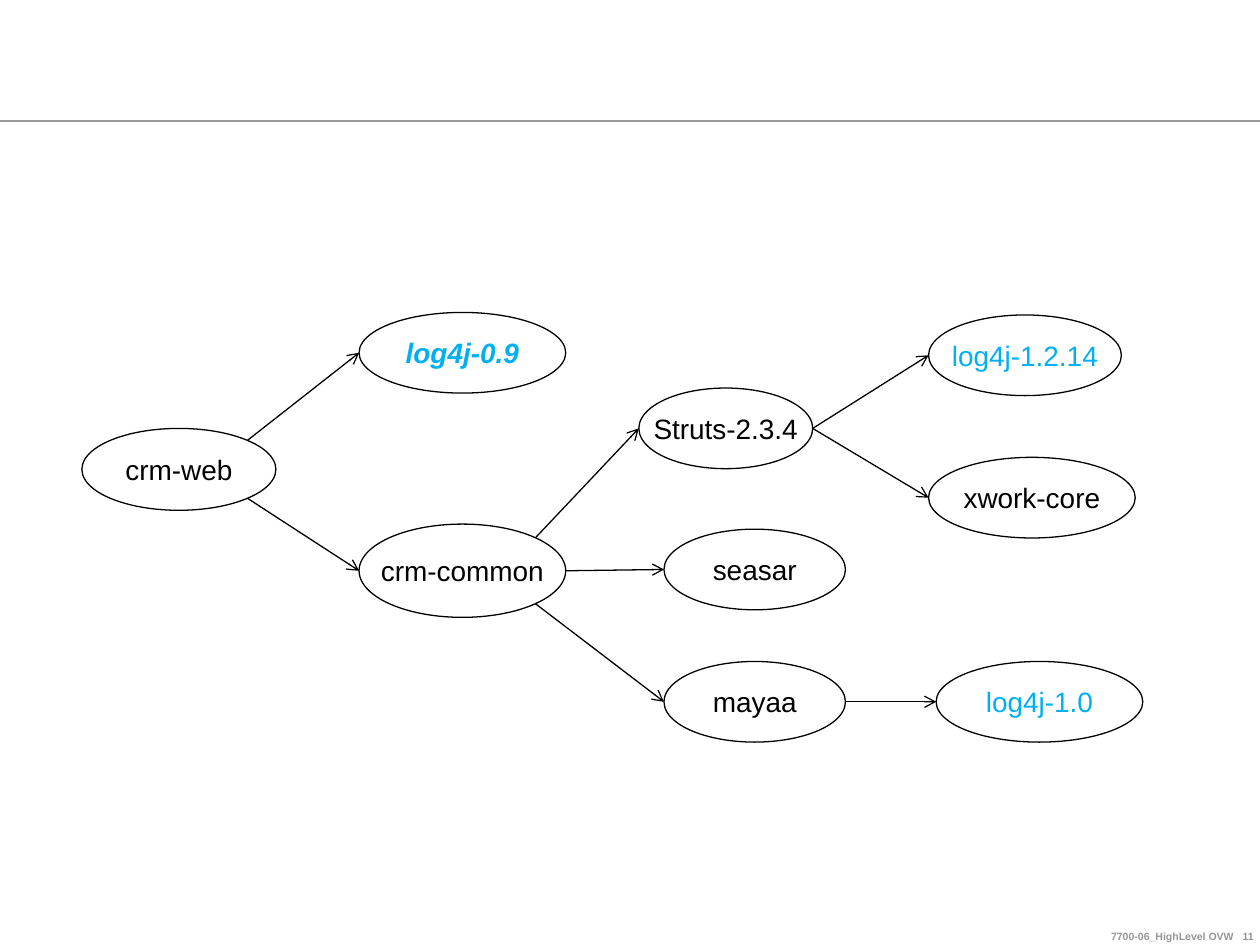
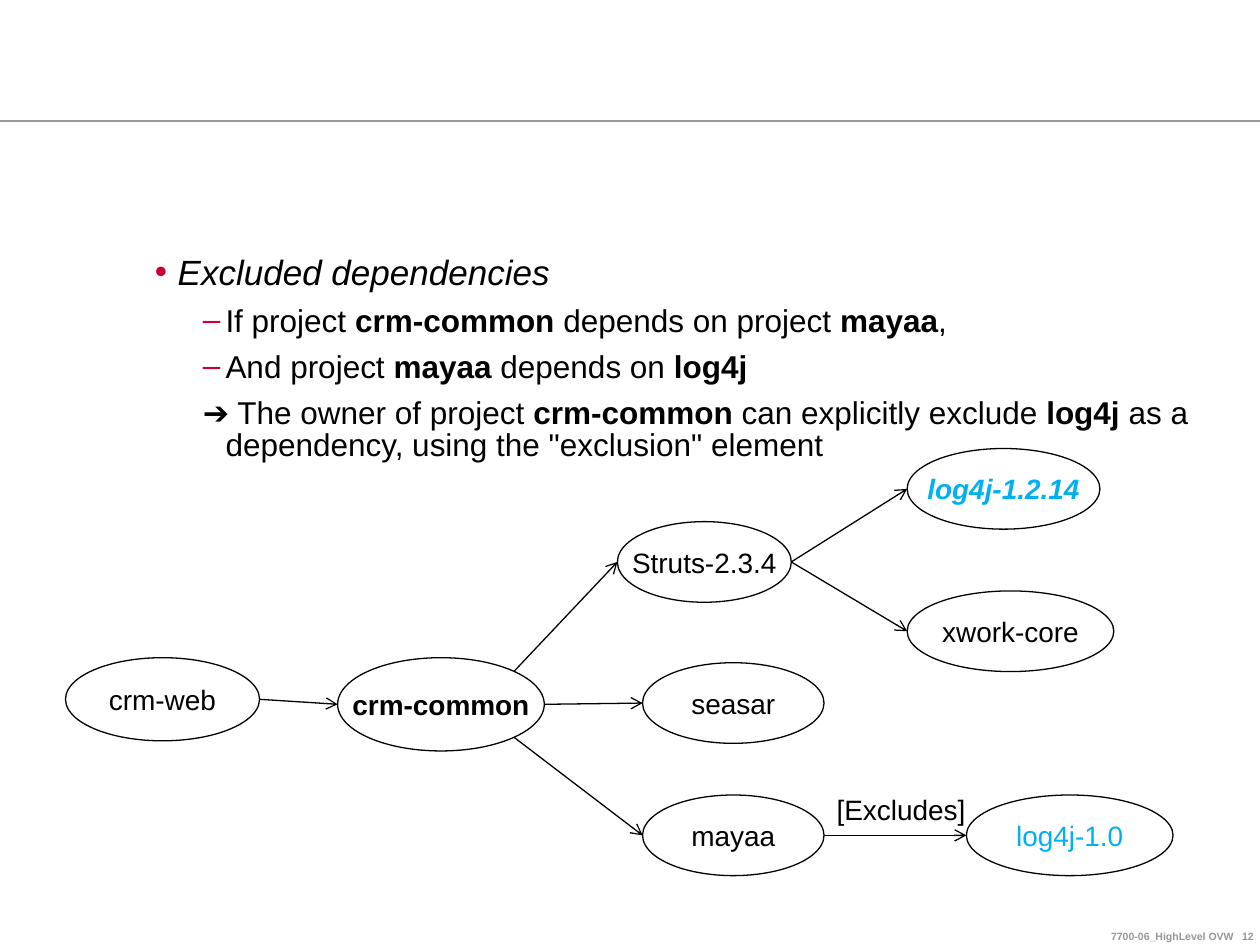
from lxml import etree
from pptx import Presentation
from pptx.dml.color import RGBColor
from pptx.enum.shapes import MSO_CONNECTOR, MSO_SHAPE
from pptx.enum.text import MSO_ANCHOR, PP_ALIGN
from pptx.oxml.ns import qn
from pptx.util import Inches, Pt

OVAL, STRAIGHT = MSO_SHAPE.OVAL, MSO_CONNECTOR.STRAIGHT
TOP, MIDDLE, BOTTOM = MSO_ANCHOR.TOP, MSO_ANCHOR.MIDDLE, MSO_ANCHOR.BOTTOM
LEFT, CENTER, RIGHT = PP_ALIGN.LEFT, PP_ALIGN.CENTER, PP_ALIGN.RIGHT

FONT = "Arial"
BLACK, BLUE, RED = "000000", "00B0F0", "CC0033"
RULE_GRAY, FOOTER_GRAY = "999999", "969696"
COLUMNS, ROWS = 10, 7.5
DIAGONAL = 0.5 ** 0.5

# Where an arrow meets an ellipse, in half widths and half heights
SITES = {"left": (-1, 0), "right": (1, 0),
         "upper": (DIAGONAL, -DIAGONAL), "lower": (DIAGONAL, DIAGONAL)}

# Dependencies of crm-common: name -> (left, top, width, height)
COMMON_TREE = {
    "crm-common": (2.85, 4.16, 1.64, 0.74),
    "Struts-2.3.4": (5.07, 3.08, 1.38, 0.64),
    "seasar": (5.27, 4.2, 1.44, 0.64),
    "mayaa": (5.27, 5.25, 1.44, 0.64),
    "log4j-1.2.14": (7.37, 2.5, 1.53, 0.64),
    "xwork-core": (7.37, 3.63, 1.64, 0.64),
    "log4j-1.0": (7.43, 5.25, 1.64, 0.64),
}
COMMON_ARROWS = [
    ("crm-common", "upper", "Struts-2.3.4"),
    ("crm-common", "right", "seasar"),
    ("crm-common", "lower", "mayaa"),
    ("mayaa", "right", "log4j-1.0"),
    ("Struts-2.3.4", "right", "log4j-1.2.14"),
    ("Struts-2.3.4", "right", "xwork-core"),
]

# Outline: level, bullet, spans of (text, style)
EXCLUSION_RULE = [
    (0, "•", [("Excluded dependencies", "i")]),
    (1, "–", [("If project ", ""), ("crm-common", "b"),
              (" depends on project ", ""), ("mayaa", "b"), (",", "")]),
    (1, "–", [("And project ", ""), ("mayaa", "b"),
              (" depends on ", ""), ("log4j", "b")]),
    (1, None, [("➔ The owner of project ", ""), ("crm-common", "b"),
               (" can explicitly exclude ", ""), ("log4j", "b"),
               (' as a dependency, using the "exclusion" element', "")]),
]
LEVELS = [(20, 0.18), (18, 0.56)]  # size, text indent
HANGING = 0.18
SPACE_BEFORE = 7.9


def color(hex_string):
    return RGBColor.from_string(hex_string)


class SlideWriter:
    """Holds the deck, its style and the current slide."""

    def __init__(self):
        self.deck = Presentation()
        self.deck.slide_width, self.deck.slide_height = Inches(10), Inches(7.5)
        self.column = self.deck.slide_width / COLUMNS
        self.row = self.deck.slide_height / ROWS
        self.slide = None

    def place(self, *lengths):
        """Turn alternating columns and rows into slide units."""
        return [round(length * (self.row if index % 2 else self.column))
                for index, length in enumerate(lengths)]

    def new_slide(self, number):
        self.slide = self.deck.slides.add_slide(self.deck.slide_layouts[6])
        self.line((0, 0.96), (COLUMNS, 0.96), RULE_GRAY, 1)
        for text, left, right in [("7700-06_HighLevel OVW", 6, 9.79),
                                  (str(number), 9.8, 9.95)]:
            self.text((left, 7.38, right - left, 0.1), text, 6, FOOTER_GRAY, "b",
                      align=RIGHT, anchor=BOTTOM)

    def span(self, para, text, size, ink=BLACK, style=""):
        run = para.add_run()
        run.text = text
        run.font.name, run.font.size = FONT, Pt(size)
        run.font.color.rgb = color(ink)
        run.font.bold, run.font.italic = "b" in style, "i" in style

    def frame(self, shape, anchor=TOP, wrap=True, margins=(0, 0)):
        frame = shape.text_frame
        frame.word_wrap, frame.vertical_anchor = wrap, anchor
        frame.margin_left = frame.margin_right = Inches(margins[0])
        frame.margin_top = frame.margin_bottom = Inches(margins[1])
        return frame

    def text(self, area, text, size, ink=BLACK, style="", align=LEFT, anchor=TOP):
        box = self.slide.shapes.add_textbox(*self.place(*area))
        para = self.frame(box, anchor).paragraphs[0]
        para.alignment = align
        self.span(para, text, size, ink, style)

    def outline(self, area, items):
        box = self.slide.shapes.add_textbox(*self.place(*area))
        frame = self.frame(box)
        for index, (level, bullet, spans) in enumerate(items):
            para = frame.add_paragraph() if index else frame.paragraphs[0]
            size, indent = LEVELS[level]
            para.level, para.line_spacing = level, 0.85
            para.space_before = Pt(SPACE_BEFORE if index else 0)
            self.bullet(para, bullet, indent)
            for text, style in spans:
                self.span(para, text, size, style=style)

    def bullet(self, para, mark, indent):
        props = para._p.get_or_add_pPr()
        props.set("marL", str(Inches(indent)))
        props.set("indent", str(-Inches(HANGING)))
        if mark is None:
            etree.SubElement(props, qn("a:buNone"))
            return
        ink = etree.SubElement(props, qn("a:buClr"))
        etree.SubElement(ink, qn("a:srgbClr"), val=RED)
        etree.SubElement(props, qn("a:buFont"), typeface=FONT)
        etree.SubElement(props, qn("a:buChar"), char=mark)

    def node(self, area, name, style=""):
        oval = self.slide.shapes.add_shape(OVAL, *self.place(*area))
        oval.shadow.inherit = False
        oval.fill.background()
        oval.line.color.rgb, oval.line.width = color(BLACK), Pt(0.75)
        para = self.frame(oval, MIDDLE, False, (0.1, 0.05)).paragraphs[0]
        para.alignment = CENTER
        ink = BLUE if name.startswith("log4j") else BLACK
        self.span(para, name, 16, ink, style)

    def line(self, start, end, ink=BLACK, width=0.75, arrow=False):
        link = self.slide.shapes.add_connector(STRAIGHT, *self.place(*start, *end))
        link.line.color.rgb, link.line.width = color(ink), Pt(width)
        props = link._element.spPr
        if arrow:
            etree.SubElement(props.find(qn("a:ln")), qn("a:tailEnd"), type="arrow")
        etree.SubElement(props, qn("a:effectLst"))

    def graph(self, nodes, arrows, styles):
        def site(name, side):
            left, top, width, height = nodes[name]
            across, down = SITES[side]
            return left + width * (1 + across) / 2, top + height * (1 + down) / 2

        for name, area in nodes.items():
            self.node(area, name, styles.get(name, ""))
        for source, side, target in arrows:
            self.line(site(source, side), site(target, "left"), arrow=True)


def shifted(nodes, right, down):
    return {name: (left + right, top + down, width, height)
            for name, (left, top, width, height) in nodes.items()}


def main():
    writer = SlideWriter()

    # Slide 11: the full dependency tree
    writer.new_slide(11)
    nodes = {"crm-web": (0.65, 3.4, 1.54, 0.65),
             "log4j-0.9": (2.85, 2.48, 1.64, 0.64), **COMMON_TREE}
    arrows = [("crm-web", "upper", "log4j-0.9"),
              ("crm-web", "lower", "crm-common"), *COMMON_ARROWS]
    writer.graph(nodes, arrows, {"log4j-0.9": "bi"})

    # Slide 12: the same tree, lower, with an excluded dependency
    writer.new_slide(12)
    writer.outline((1.23, 2.04, 8.29, 1.63), EXCLUSION_RULE)
    nodes = {"crm-web": (0.52, 5.22, 1.54, 0.66),
             **shifted(COMMON_TREE, -0.17, 1.06)}
    nodes["log4j-1.0"] = (7.67, 6.31, 1.64, 0.64)
    arrows = [("crm-web", "right", "crm-common"), *COMMON_ARROWS]
    writer.graph(nodes, arrows, {"crm-common": "b", "log4j-1.2.14": "bi"})
    writer.text((6.64, 6.29, 1.18, 0.27), "[Excludes]", 16)

    writer.deck.save("out.pptx")


if __name__ == "__main__":
    main()
